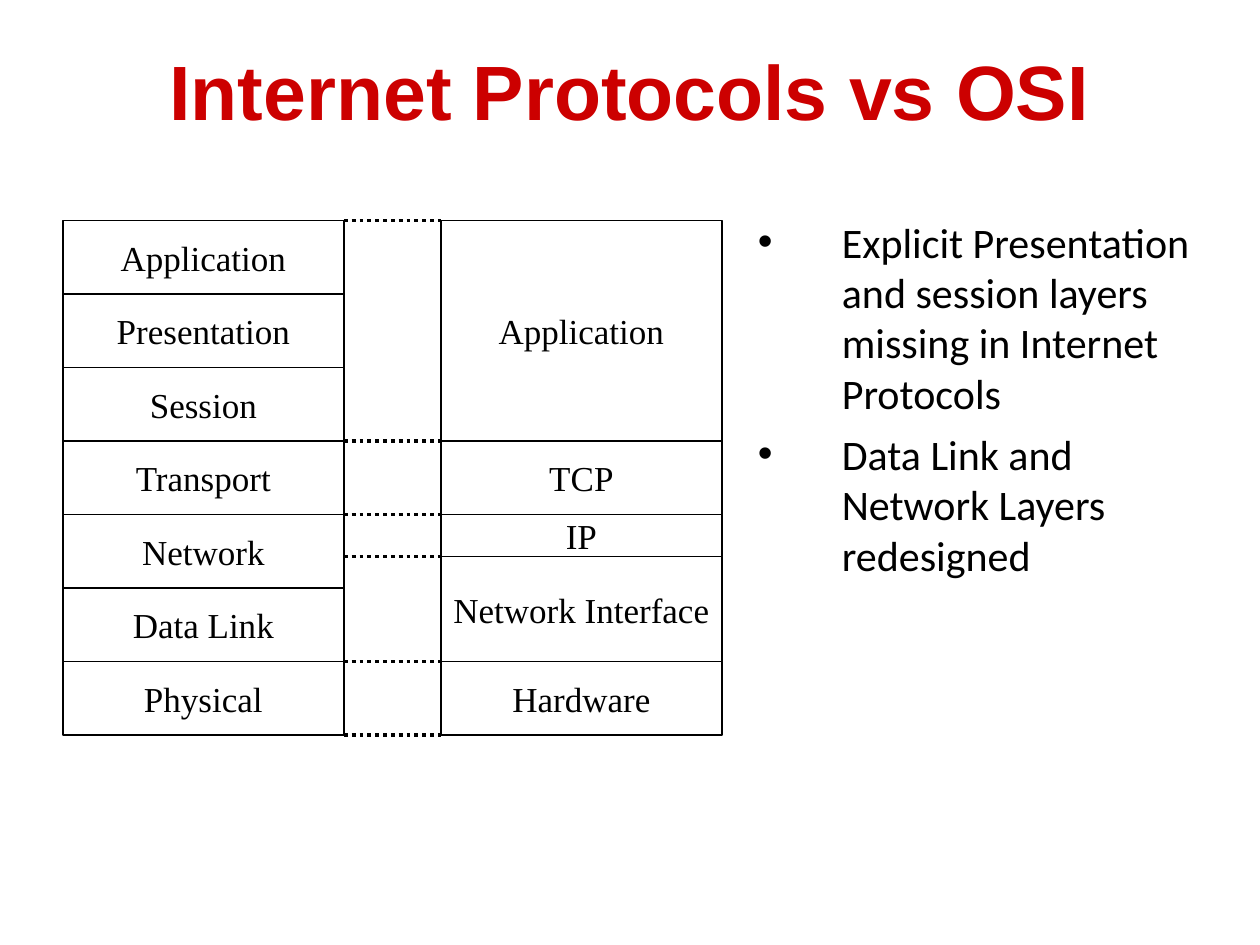
from itertools import accumulate

from lxml import etree
from pptx import Presentation
from pptx.dml.color import RGBColor
from pptx.enum.dml import MSO_LINE
from pptx.enum.shapes import MSO_CONNECTOR, MSO_SHAPE
from pptx.enum.text import MSO_ANCHOR, PP_ALIGN
from pptx.oxml.ns import qn
from pptx.util import Pt

BLACK = RGBColor(0x00, 0x00, 0x00)
WHITE = RGBColor(0xFF, 0xFF, 0xFF)
RED = RGBColor(0xCC, 0x00, 0x00)
CENTER = PP_ALIGN.CENTER
MIDDLE = MSO_ANCHOR.MIDDLE
RECTANGLE = MSO_SHAPE.RECTANGLE
STRAIGHT = MSO_CONNECTOR.STRAIGHT
DOTTED = MSO_LINE.ROUND_DOT

ROW = 42  # height of one OSI layer
OSI_LAYERS = [(name, ROW) for name in (
    "Application", "Presentation", "Session", "Transport",
    "Network", "Data Link", "Physical")]
INTERNET_LAYERS = [
    ("Application", 3 * ROW), ("TCP", ROW), ("IP", 24),
    ("Network Interface", 60), ("Hardware", ROW)]
REMARKS = [
    "Explicit Presentation and session layers missing in Internet Protocols",
    "Data Link and Network Layers redesigned"]


def set_font(paragraph, name, size, color, bold=False):
    font = paragraph.font
    font.name, font.size, font.bold = name, Pt(size), bold
    font.color.rgb = color


def add_title(slide, left, top, width, height):
    frame = slide.shapes.add_textbox(
        Pt(left), Pt(top), Pt(width), Pt(height)).text_frame
    frame.word_wrap = True
    frame.vertical_anchor = MIDDLE
    heading = frame.paragraphs[0]
    heading.text = "Internet Protocols vs OSI"
    heading.alignment = CENTER
    set_font(heading, "Arial", 44, RED, bold=True)


def add_stack(slide, left, top, width, layers):
    """Stack the layers downwards from the top of the column."""
    for name, height in layers:
        layer = slide.shapes.add_shape(
            RECTANGLE, Pt(left), Pt(top), Pt(width), Pt(height))
        layer.shadow.inherit = False
        layer.fill.solid()
        layer.fill.fore_color.rgb = WHITE
        layer.line.color.rgb = BLACK
        layer.line.width = Pt(1)
        frame = layer.text_frame
        frame.word_wrap = False
        frame.vertical_anchor = MIDDLE
        label = frame.paragraphs[0]
        label.text = name
        label.alignment = CENTER
        set_font(label, "Times New Roman", 20, BLACK)
        top += height


def add_boundary(slide, start, end, y):
    boundary = slide.shapes.add_connector(
        STRAIGHT, Pt(start), Pt(y), Pt(end), Pt(y))
    boundary.line.color.rgb = BLACK
    boundary.line.width = Pt(2.25)
    boundary.line.dash_style = DOTTED
    etree.SubElement(boundary.element.spPr, qn("a:effectLst"))


def add_comparison(slide, left, top, width, column):
    """Two layer stacks, with dotted lines across the gap between them."""
    internet_left = left + width - column
    add_stack(slide, left, top, column, OSI_LAYERS)
    add_stack(slide, internet_left, top, column, INTERNET_LAYERS)
    heights = [height for _, height in INTERNET_LAYERS]
    for y in accumulate(heights, initial=top):
        add_boundary(slide, left + column, internet_left, y)


def add_remarks(slide, left, top, width, height):
    frame = slide.shapes.add_textbox(
        Pt(left), Pt(top), Pt(width), Pt(height)).text_frame
    frame.word_wrap = True
    for index, text in enumerate(REMARKS):
        remark = frame.add_paragraph() if index else frame.paragraphs[0]
        remark.text = text
        remark.space_before = Pt(6)
        set_font(remark, "Calibri", 24, BLACK)
        # Hanging bullet
        properties = remark._p.get_or_add_pPr()
        properties.set("marL", str(Pt(48)))
        properties.set("indent", str(-Pt(48)))
        bullet_font = etree.Element(qn("a:buFont"), typeface="Arial")
        bullet = etree.Element(qn("a:buChar"), char="•")
        properties.find(qn("a:defRPr")).addprevious(bullet_font)
        bullet_font.addnext(bullet)


def main():
    deck = Presentation()
    deck.slide_width, deck.slide_height = Pt(720), Pt(540)
    slide = deck.slides.add_slide(deck.slide_layouts[6])
    add_remarks(slide, 426, 120, 276, 390)
    add_title(slide, 54, 6, 612, 90)
    add_comparison(slide, 36, 126, 376.5, 160.5)
    deck.save("out.pptx")


if __name__ == "__main__":
    main()
